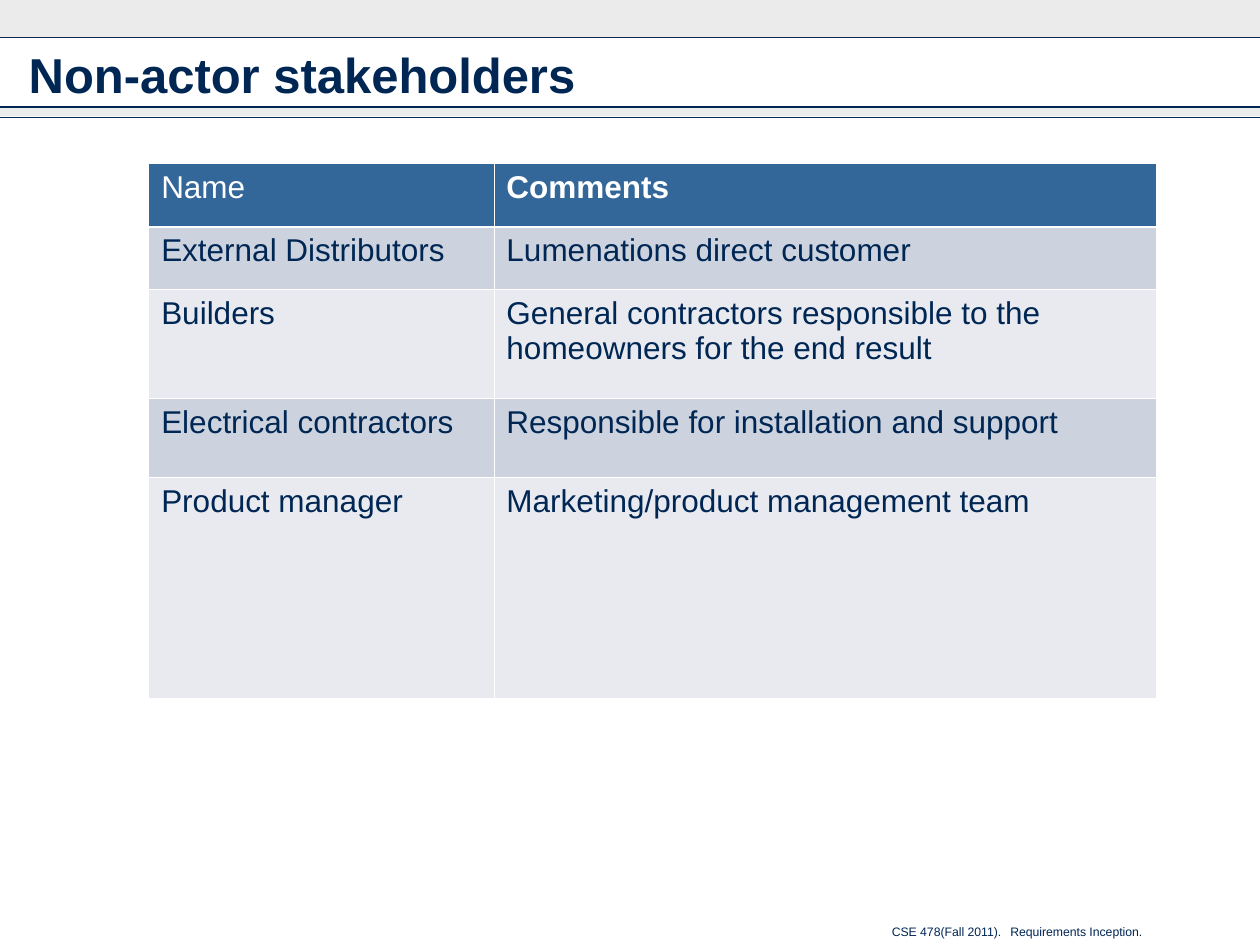
from lxml import etree
from pptx import Presentation
from pptx.dml.color import RGBColor
from pptx.enum.shapes import MSO_CONNECTOR as Conn, MSO_SHAPE as Shape
from pptx.enum.text import MSO_ANCHOR as Anchor
from pptx.oxml import parse_xml
from pptx.oxml.ns import nsdecls, qn
from pptx.util import Inches, Pt

NAVY = RGBColor(0x00, 0x26, 0x54)
BLUE = RGBColor(0x33, 0x66, 0x99)
GREY = RGBColor(0xCD, 0xCD, 0xCD)
DARK = RGBColor(0xCD, 0xD3, 0xDE)
LIGHT = RGBColor(0xE8, 0xEA, 0xEF)
WHITE = RGBColor(0xFF, 0xFF, 0xFF)

TITLE = "Non-actor stakeholders"
FOOTER = "CSE 478(Fall 2011).\tRequirements Inception."
ROWS = [
    ("Name", "Comments"),
    ("External Distributors", "Lumenations direct customer"),
    ("Builders", "General contractors responsible to the homeowners for the end result"),
    ("Electrical contractors", "Responsible for installation and support"),
    ("Product manager", "Marketing/product management team"),
]
WIDTHS = [2.74, 5.26]
HEIGHTS = [0.5, 0.5, 0.86, 0.63, 1.75]
BANDS = [(0, 0.3), (0.85, 0.07)]  # top, height
RULES = [0.85, 0.3, 0.93]
THIN, THICK = 0.45, 1.47


def style(para, size, color, bold=False):
    font = para.font
    font.name, font.size, font.bold = "Arial", Pt(size), bold
    font.color.rgb = color


def add_band(slide, top, height):
    band = slide.shapes.add_shape(Shape.RECTANGLE, 0, Inches(top), Inches(10), Inches(height))
    band.shadow.inherit = False
    band.line.fill.background()
    band.fill.solid()
    band.fill.fore_color.rgb = GREY
    color = band.fill._xPr.find(qn("a:solidFill"))[0]
    etree.SubElement(color, qn("a:alpha"), val="40000")


def add_rule(slide, top):
    rule = slide.shapes.add_connector(Conn.STRAIGHT, 0, Inches(top), Inches(10), Inches(top))
    rule.line.color.rgb = NAVY
    rule.line.width = Pt(0.75)
    etree.SubElement(rule._element.spPr, qn("a:effectLst"))


def add_text(slide, text, box, size, bold=False):
    frame = slide.shapes.add_textbox(*map(Inches, box)).text_frame
    frame.word_wrap = True
    frame.vertical_anchor = Anchor.MIDDLE
    para = frame.paragraphs[0]
    para.text = text
    return para, size, bold


def set_borders(cell, top, bottom):
    props = cell._tc.get_or_add_tcPr()
    for side, width in zip("LRTB", (THIN, THIN, top, bottom)):
        props.append(parse_xml(
            f'<a:ln{side} {nsdecls("a")} w="{Pt(width)}"><a:solidFill>'
            f'<a:srgbClr val="{WHITE}"/></a:solidFill></a:ln{side}>'))


def add_grid(slide):
    table = slide.shapes.add_table(
        len(ROWS), len(WIDTHS), Inches(1.18), Inches(1.3),
        Inches(sum(WIDTHS)), Inches(sum(HEIGHTS))).table
    for col, width in zip(table.columns, WIDTHS):
        col.width = Inches(width)
    for r, texts in enumerate(ROWS):
        table.rows[r].height = Inches(HEIGHTS[r])
        head = r == 0
        for c, text in enumerate(texts):
            cell = table.cell(r, c)
            cell.text = text
            style(cell.text_frame.paragraphs[0], 18, WHITE if head else NAVY, head and c == 1)
            set_borders(cell, THICK if r == 1 else THIN, THICK if head else THIN)
            cell.fill.solid()
            cell.fill.fore_color.rgb = BLUE if head else DARK if r % 2 else LIGHT


def main():
    deck = Presentation()
    deck.slide_width, deck.slide_height = Inches(10), Inches(7.5)
    slide = deck.slides.add_slide(deck.slide_layouts[6])

    for band in BANDS:
        add_band(slide, *band)
    for top in RULES:
        add_rule(slide, top)

    style(*with_color(add_text(slide, TITLE, (0.13, 0.26, 9.74, 0.66), 28, True)))
    foot = add_text(slide, FOOTER, (6.98, 7.28, 2.27, 0.22), 7)
    tabs = etree.SubElement(foot[0]._p.get_or_add_pPr(), qn("a:tabLst"))
    etree.SubElement(tabs, qn("a:tab"), pos=str(Inches(0.94)), algn="l")
    style(*with_color(foot))

    add_grid(slide)
    deck.save("out.pptx")


def with_color(parts):
    """Put the text colour between the size and the weight."""
    para, size, bold = parts
    return para, size, NAVY, bold


if __name__ == "__main__":
    main()
